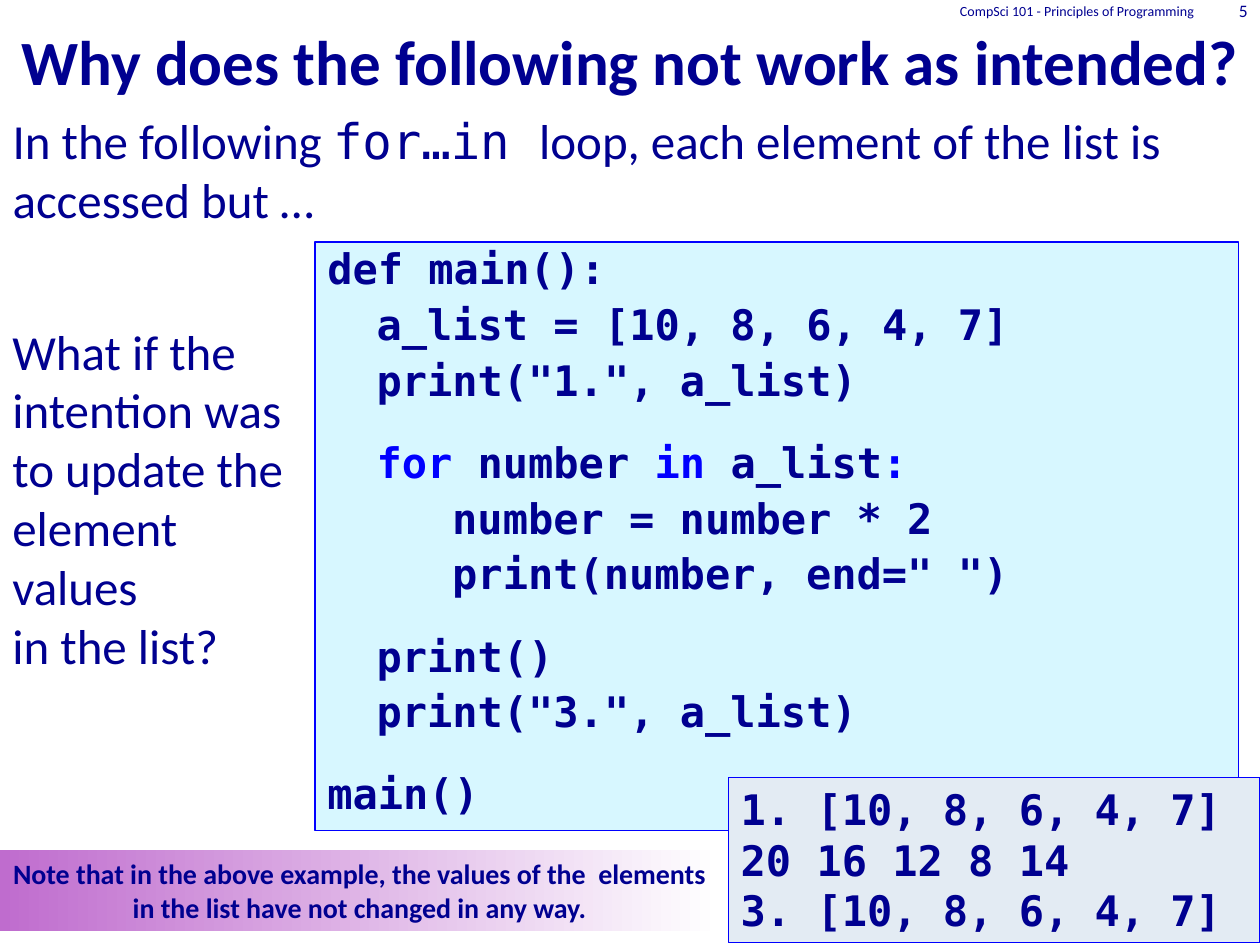
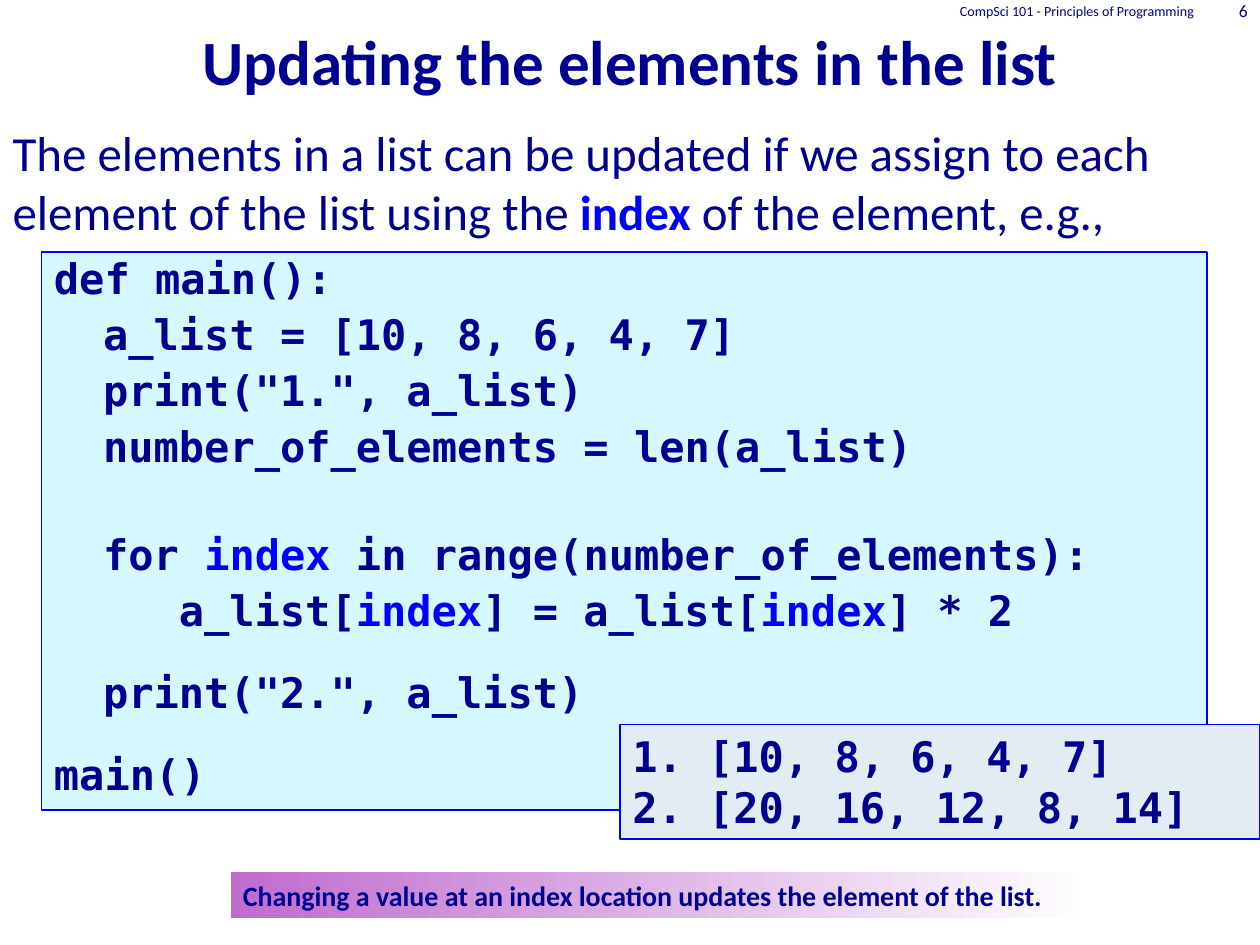
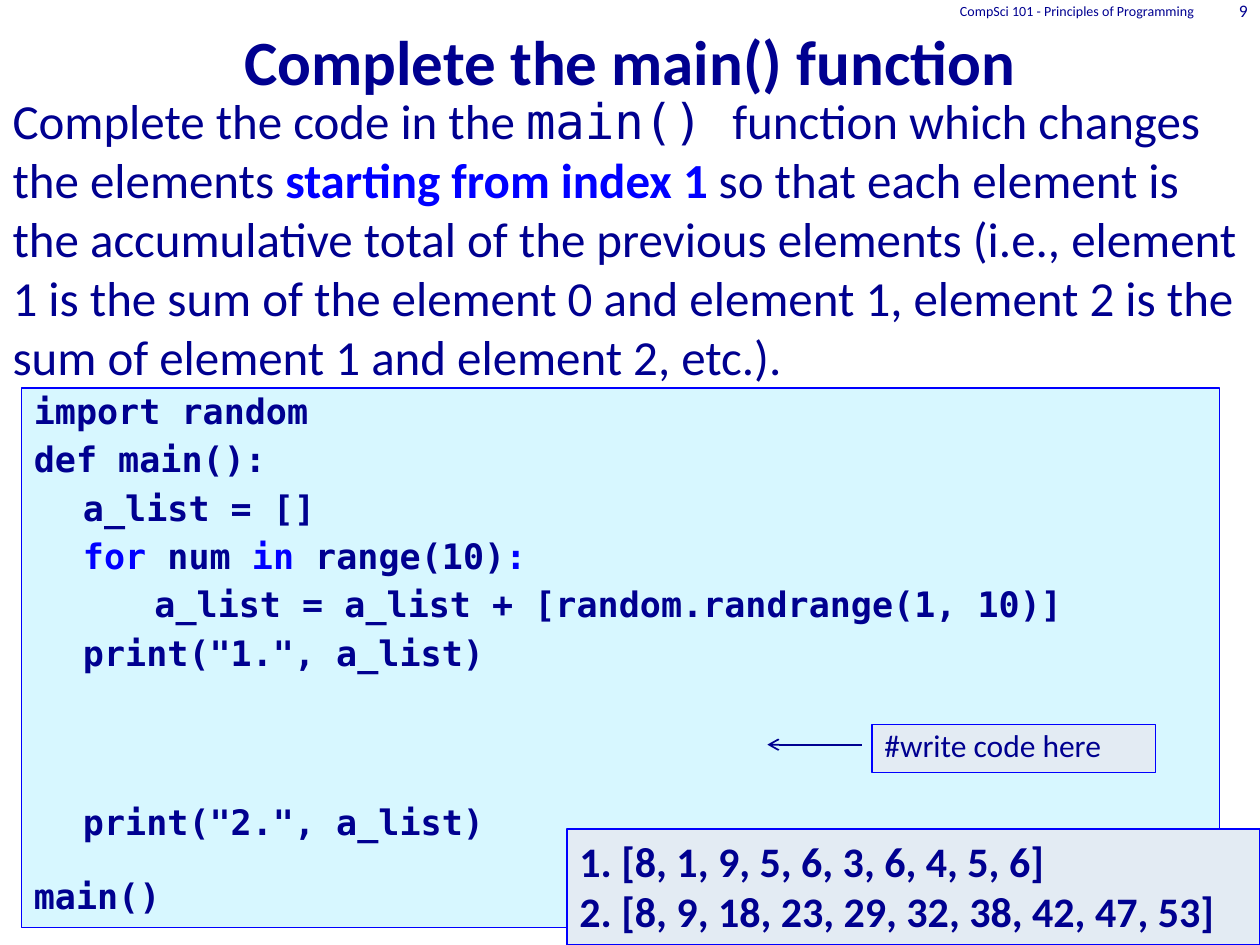
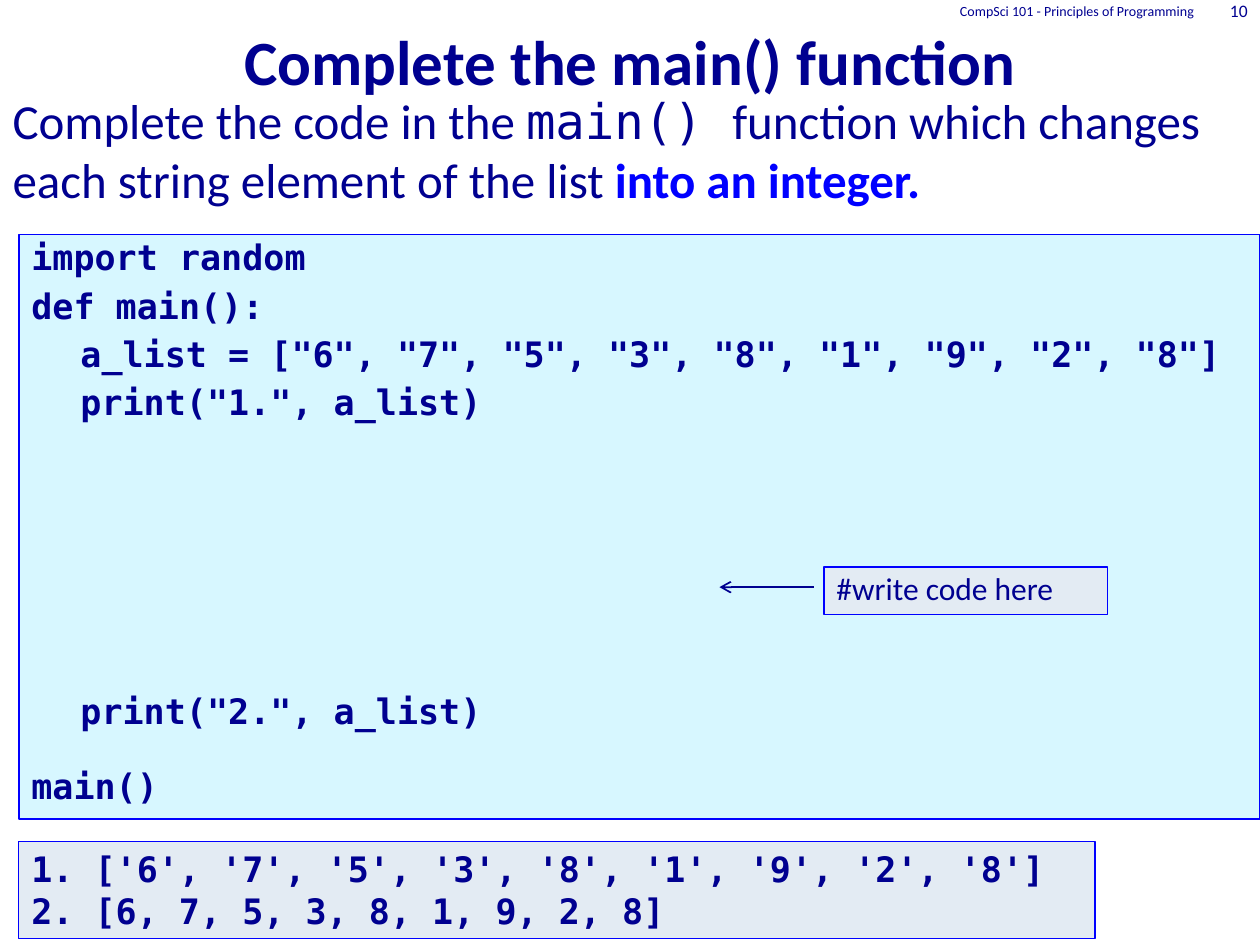
import dataclasses

import pptx
import pptx.dml.color
import pptx.enum.shapes
import pptx.enum.text
import pptx.oxml
import pptx.oxml.ns
import pptx.util
from pptx.util import Inches

ALIGN = pptx.enum.text.PP_ALIGN
ANCHOR = pptx.enum.text.MSO_ANCHOR
FIT = pptx.enum.text.MSO_AUTO_SIZE
RECT = pptx.enum.shapes.MSO_SHAPE.RECTANGLE
STRAIGHT = pptx.enum.shapes.MSO_CONNECTOR.STRAIGHT


@dataclasses.dataclass(frozen=True)
class Theme:
    ink: str = "000090"
    accent: str = "0000FF"
    code_fill: str = "D7F7FF"
    out_fill: str = "E3EBF3"
    note_fill: str = "BF6CCE"
    paper: str = "FFFFFF"
    sans: str = "Calibri"
    mono: str = "DejaVu Sans Mono"
    title: int = 36
    body: int = 28
    code: int = 24
    small_code: int = 20
    hint: int = 18
    note: int = 16
    page: int = 10
    foot: int = 8
    gap: int = 6
    tabs: tuple = (0.39, 0.79, 1.38)


def rgb(code):
    return pptx.dml.color.RGBColor.from_string(code)


def add_xml(parent, tag, **attrs):
    child = pptx.oxml.parse_xml(f"<a:{tag} {pptx.oxml.ns.nsdecls('a')}/>")
    for key, value in attrs.items():
        child.set(key, str(value))
    parent.append(child)
    return child


class Deck:
    def __init__(self, theme):
        self.theme = theme
        self.show = pptx.Presentation()
        self.show.slide_width = Inches(10)
        self.show.slide_height = Inches(7.5)
        self.slide = None

    def start(self, title, page):
        """Open a slide with its title, page number and course name."""
        t = self.theme
        self.slide = self.show.slides.add_slide(self.show.slide_layouts[1])
        head = self.slide.shapes.title
        self.place(head, 0, 0, 10, 0.83)
        self.set_text(head, [title], t.title, bold=True, align=ALIGN.CENTER, anchor=ANCHOR.BOTTOM)
        self.label(str(page), (9.42, 0, 0.58, 0.17), t.page, align=ALIGN.RIGHT, anchor=ANCHOR.MIDDLE)
        self.label("CompSci 101 - Principles of Programming", (6.58, 0, 3, 0.17), t.foot,
                   align=ALIGN.RIGHT, anchor=ANCHOR.MIDDLE)

    def place(self, shape, left, top, width, height):
        shape.left, shape.top = Inches(left), Inches(top)
        shape.width, shape.height = Inches(width), Inches(height)

    def set_text(self, shape, lines, size, font=None, bold=False, align=ALIGN.LEFT, anchor=ANCHOR.TOP):
        """Fill a shape with lines; {x} is accented and `x` is monospaced."""
        frame = shape.text_frame
        frame.word_wrap = True
        frame.auto_size = FIT.NONE
        frame.vertical_anchor = anchor
        for i, line in enumerate(lines):
            par = frame.add_paragraph() if i else frame.paragraphs[0]
            par.alignment = align
            for j, part in enumerate(line.replace("}", "{").split("{")):
                for k, piece in enumerate(part.split("`")):
                    if piece:
                        run = par.add_run()
                        run.text = piece
                        run.font.size = pptx.util.Pt(size)
                        run.font.name = self.theme.mono if k % 2 else font or self.theme.sans
                        run.font.bold = bold or j % 2 == 1
                        run.font.color.rgb = rgb(self.theme.accent if j % 2 else self.theme.ink)
        return frame.paragraphs

    def label(self, text, spot, size, **style):
        box = self.slide.shapes.add_textbox(*map(Inches, spot))
        self.set_text(box, text.split("\n"), size, **style)

    def body(self, text, top, width=10, height=6.33):
        shape = self.slide.placeholders[1]
        self.place(shape, 0, top, width, height)
        for par in self.set_text(shape, [text], self.theme.body):
            props = par._p.get_or_add_pPr()
            props.set("marL", "0")
            props.set("indent", "0")
            add_xml(props, "buNone")

    def panel(self, spot, fill, shapes=None):
        """Add an outlined rectangle."""
        box = (shapes or self.slide.shapes).add_shape(RECT, *map(Inches, spot))
        box.shadow.inherit = False
        box.fill.solid()
        box.fill.fore_color.rgb = rgb(fill)
        box.line.color.rgb = rgb(self.theme.accent)
        box.line.width = pptx.util.Pt(0.75)
        return box

    def code(self, items, spot, size):
        """Show a listing; a number among the items is extra space in points."""
        t = self.theme
        lines, gaps, extra = [], [], 0
        for item in items:
            if isinstance(item, str):
                lines.append(item)
                gaps.append(t.gap + extra)
                extra = 0
            else:
                extra = item
        box = self.panel(spot, t.code_fill)
        for par, gap in zip(self.set_text(box, lines, size, t.mono, True), gaps):
            par.line_spacing = 0.9
            par.space_before = pptx.util.Pt(gap)
            stops = add_xml(par._p.get_or_add_pPr(), "tabLst")
            for stop in t.tabs:
                add_xml(stops, "tab", pos=int(Inches(stop)), algn="l")

    def output(self, lines, spot, size, font=None):
        box = self.panel(spot, self.theme.out_fill)
        self.set_text(box, lines, size, font or self.theme.mono, True)

    def note(self, text, spot, align=ALIGN.LEFT):
        box = self.slide.shapes.add_shape(RECT, *map(Inches, spot))
        box.shadow.inherit = False
        box.line.fill.background()
        box.fill.gradient()
        box.fill.gradient_angle = 0
        for i, stop in enumerate(box.fill.gradient_stops):
            stop.position = i
            stop.color.rgb = rgb((self.theme.note_fill, self.theme.paper)[i])
        self.set_text(box, [text], self.theme.note, bold=True, align=align)

    def hint(self, left, top):
        """Mark the place for the answer with a label and an arrow."""
        shapes = self.slide.shapes.add_group_shape().shapes
        box = self.panel((left, top, 2.25, 0.38), self.theme.out_fill, shapes)
        self.set_text(box, ["#write code here"], self.theme.hint)[0].line_spacing = 0.9
        tail, y = left - 0.08, top + 0.16
        arrow = shapes.add_connector(STRAIGHT, *map(Inches, (tail, y, tail - 0.75, y)))
        arrow.line.color.rgb = rgb(self.theme.ink)
        arrow.line.width = pptx.util.Pt(1)
        add_xml(arrow.line._get_or_add_ln(), "tailEnd", type="arrow")
        add_xml(arrow._element.spPr, "effectLst")


def main():
    theme = Theme()
    deck = Deck(theme)
    task = "Complete the main() function"
    lead = "Complete the code in the `main() `function which changes "
    first = '\tprint("1.", a_list)'
    second = '\tprint("2.", a_list)'
    numbers = "[10, 8, 6, 4, 7]"

    deck.start("Why does the following not work as intended?", 5)
    deck.body("In the following `for…in `loop, each element of the list is accessed but …", 0.83, 9.83)
    deck.code([
        "def main():",
        f"\ta_list = {numbers}",
        first,
        15,
        "\t{for} number {in }a_list{:}",
        "\t\t number = number * 2",
        '\t\t print(number, end=" ")',
        15,
        "\tprint()",
        '\tprint("3.", a_list)',
        15,
        "main()",
    ], (2.5, 1.92, 7.33, 4.67), theme.code)
    deck.output([f"1. {numbers}", "20 16 12 8 14", f"3. {numbers}"],
                (5.78, 6.17, 4.22, 1.31), theme.code)
    deck.note("Note that in the above example, the values of the  elements "
              "in the list have not changed in any way.", (0, 6.75, 5.71, 0.64), ALIGN.CENTER)
    deck.label("What if the intention was to update the element values\nin the list?",
               (0, 2.5, 2.58, 2.93), theme.body)

    deck.start("Updating the elements in the list", 6)
    deck.body("The elements in a list can be updated if we assign to each element "
              "of the list using the{ index }of the element, e.g.,", 0.92)
    deck.code([
        "def main():",
        f"\ta_list = {numbers}",
        first,
        "\tnumber_of_elements = len(a_list)",
        30,
        "\tfor {index} in range(number_of_elements):",
        "\t\t a_list[{index}] = a_list[{index}] * 2",
        15,
        second,
        15,
        "main()",
    ], (0.33, 2, 9.25, 4.43), theme.code)
    deck.output([f"1. {numbers}", "2. [20, 16, 12, 8, 14]"], (4.92, 5.75, 5.08, 0.91), theme.code)
    deck.note("Changing a value at an index location updates the element of the list.",
              (1.83, 6.92, 6.83, 0.37))

    deck.start(task, 9)
    deck.body(lead + "the elements {starting from index 1 }so that each element is the "
              "accumulative total of the previous elements (i.e., element 1 is the sum of "
              "the element 0 and element 1, element 2 is the sum of element 1 and "
              "element 2, etc.).", 0.67, height=6.08)
    deck.code([
        "import random",
        "def main():",
        "\ta_list = []",
        "\t{for }num {in} range(10){:}",
        "\t\t a_list = a_list + [random.randrange(1, 10)]",
        first,
        69,
        second,
        15,
        "main()",
    ], (0.17, 3.08, 9.51, 4.28), theme.small_code)
    deck.output(["1. [8, 1, 9, 5, 6, 3, 6, 4, 5, 6]", "2. [8, 9, 18, 23, 29, 32, 38, 42, 47, 53]"],
                (4.5, 6.58, 5.5, 0.92), theme.code, theme.sans)
    deck.hint(6.92, 5.75)

    deck.start(task, 10)
    deck.body(lead + "each string element of the list {into an integer.}", 0.67, height=6.08)
    deck.code([
        "import random",
        "def main():",
        '\ta_list = ["6", "7", "5", "3", "8", "1", "9", "2", "8"]',
        first,
        149,
        second,
        15,
        "main()",
    ], (0.15, 1.86, 9.85, 4.64), theme.small_code)
    deck.output(["1. ['6', '7', '5', '3', '8', '1', '9', '2', '8']", "2. [6, 7, 5, 3, 8, 1, 9, 2, 8]"],
                (0.15, 6.68, 8.54, 0.77), theme.small_code)
    deck.hint(6.54, 4.5)

    deck.show.save("out.pptx")


if __name__ == "__main__":
    main()
